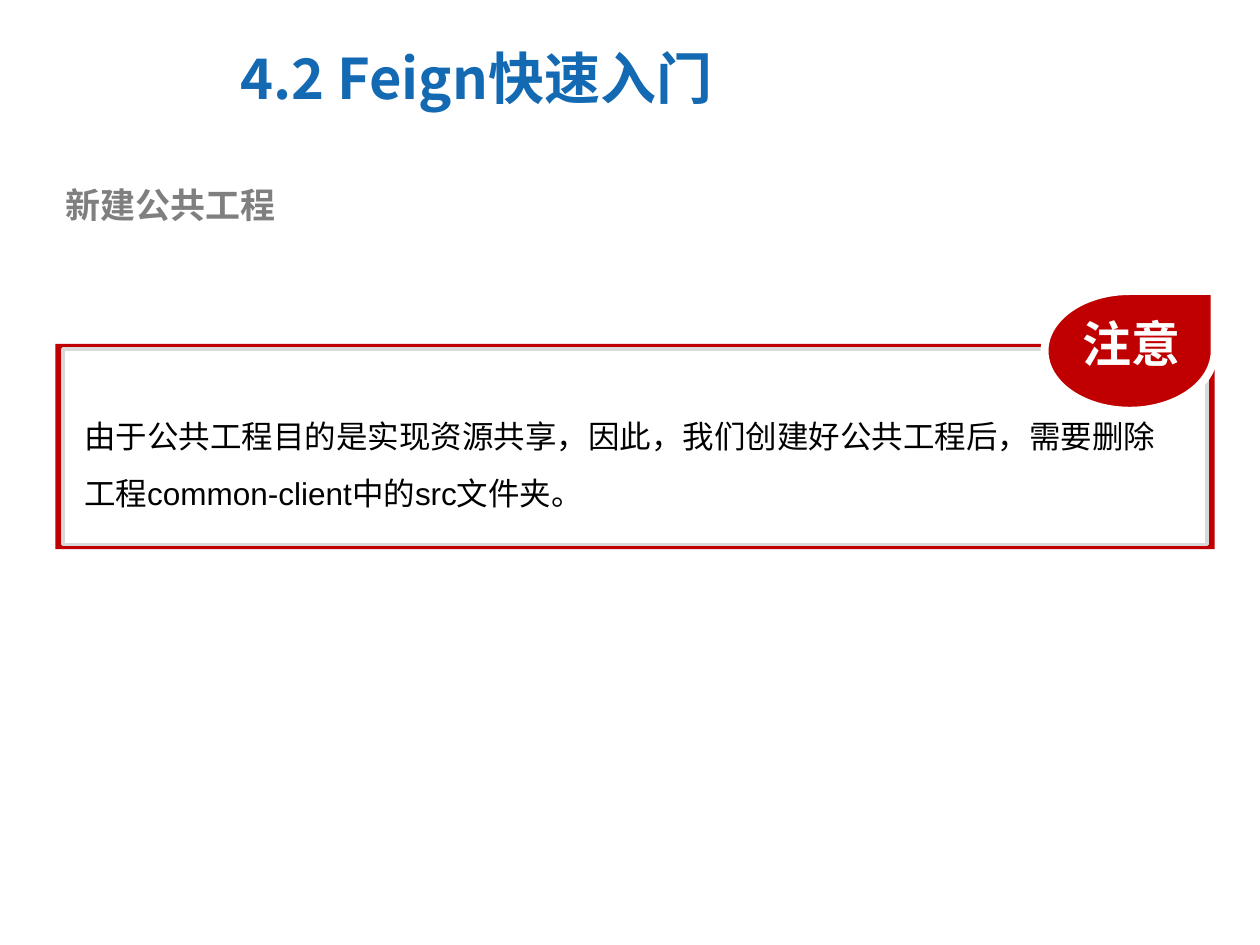
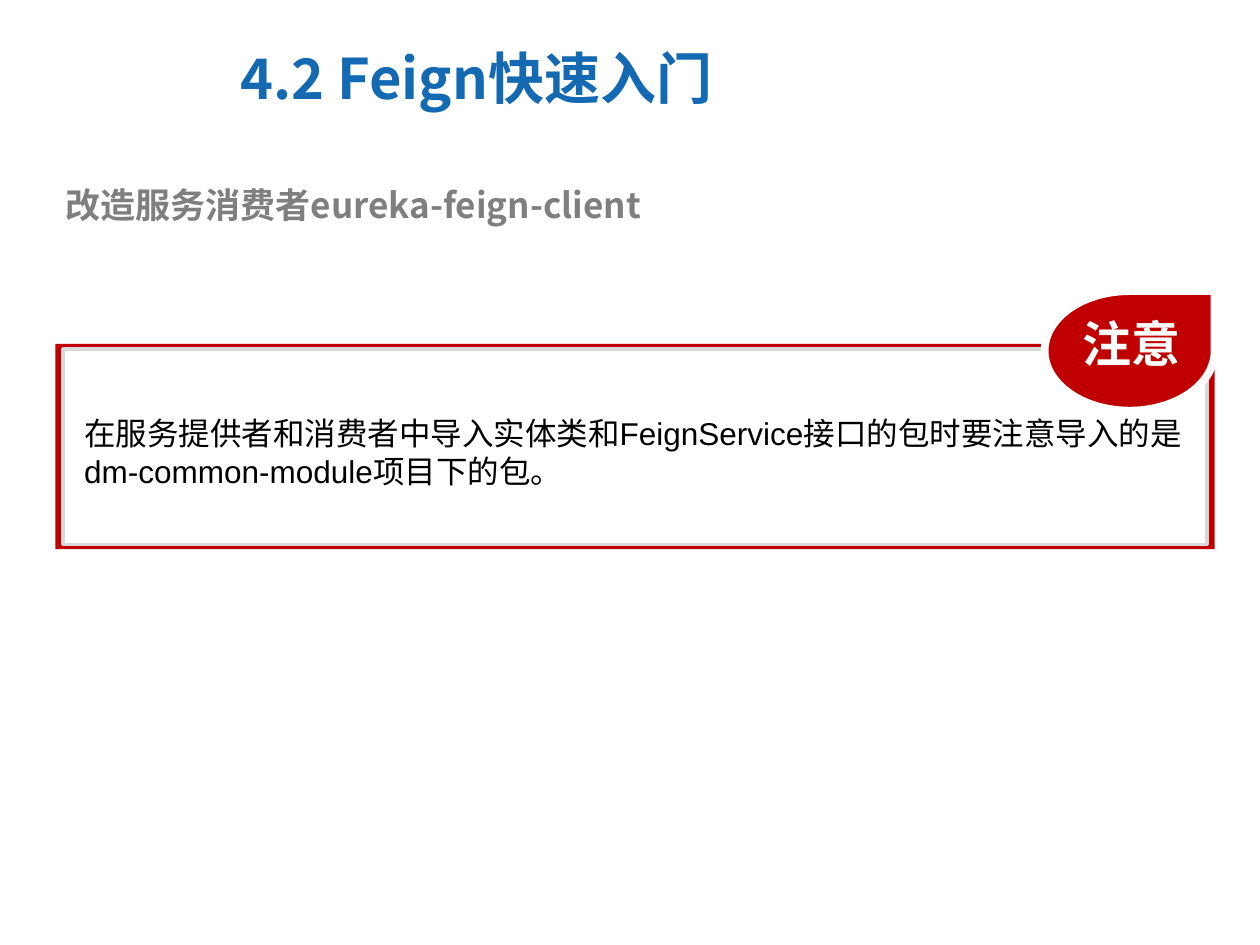
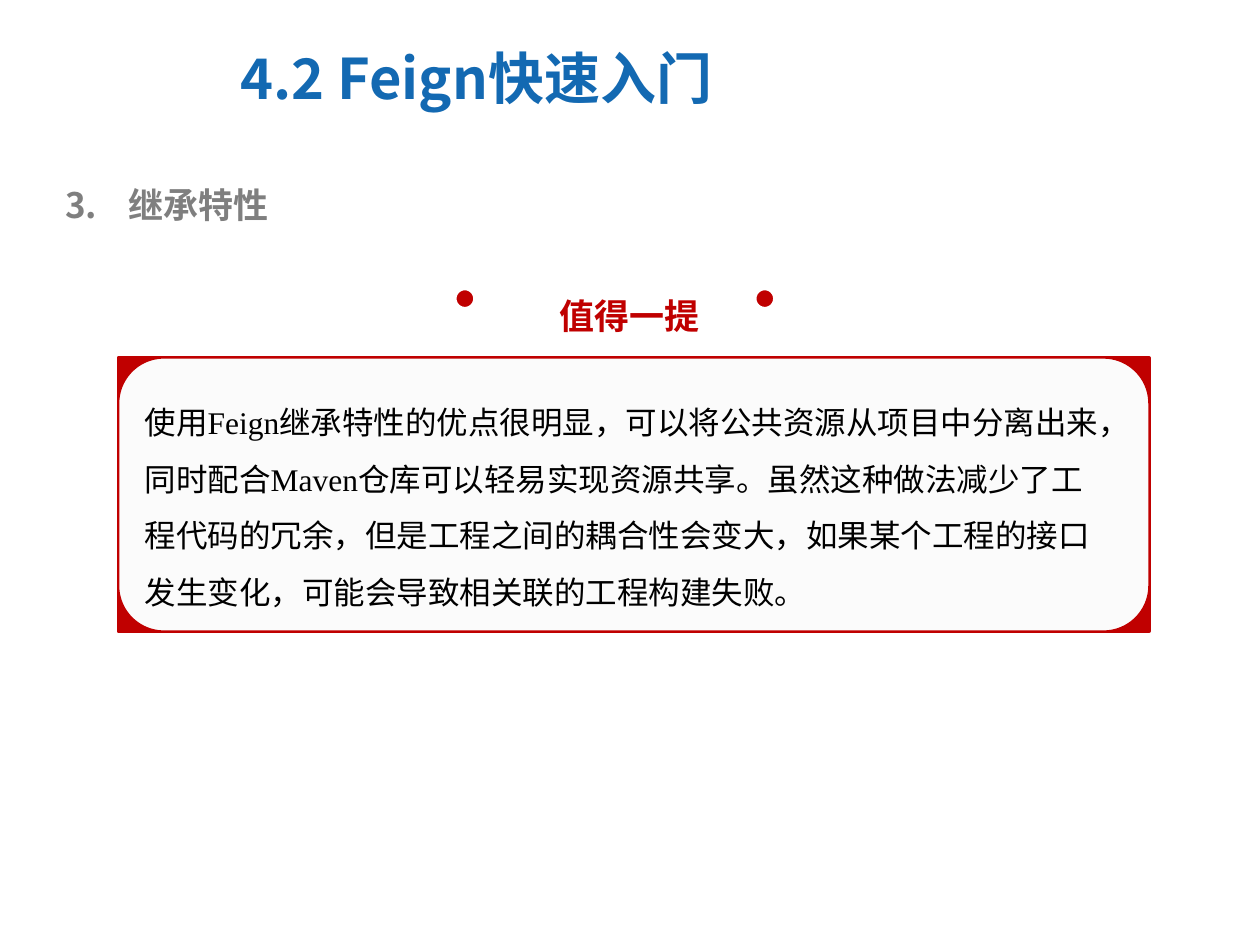
import pptx
import pptx.dml.color
import pptx.enum.shapes
import pptx.enum.text
import pptx.oxml
import pptx.oxml.ns
import pptx.util

Inches = pptx.util.Inches
Pt = pptx.util.Pt
RGBColor = pptx.dml.color.RGBColor
Shape = pptx.enum.shapes.MSO_SHAPE
AutoSize = pptx.enum.text.MSO_AUTO_SIZE

# Colours and fonts
BLUE = RGBColor(0x13, 0x69, 0xB2)
GRAY = RGBColor(0x7F, 0x7F, 0x7F)
SILVER = RGBColor(0xD9, 0xD9, 0xD9)
RED = RGBColor(0xC0, 0x00, 0x00)
OFF_WHITE = RGBColor(0xFB, 0xFB, 0xFB)
WHITE = RGBColor(0xFF, 0xFF, 0xFF)
BLACK = RGBColor(0x00, 0x00, 0x00)
CHINESE_FONT = "Noto Sans CJK SC"

TITLE = "4.2 Feign快速入门"
TITLE_ONLY_LAYOUT = 5


class Deck:
    """Holds the shared style and the slide being built."""

    def __init__(self):
        self.presentation = pptx.Presentation()
        self.presentation.slide_width = Inches(10)
        self.presentation.slide_height = Inches(7.5)
        self.slide = None

    def format_text(self, shape, text, size, color, font=CHINESE_FONT, bold=True):
        shape.text_frame.text = text
        for run in shape.text_frame.paragraphs[0].runs:
            run.font.size = Pt(size)
            run.font.bold = bold
            run.font.color.rgb = color
            run.font.name = font
            east_asian = pptx.oxml.parse_xml(
                f'<a:ea {pptx.oxml.ns.nsdecls("a")} typeface="{CHINESE_FONT}"/>')
            run.font._element.append(east_asian)

    def start_slide(self, heading, number=None):
        layout = self.presentation.slide_layouts[TITLE_ONLY_LAYOUT]
        self.slide = self.presentation.slides.add_slide(layout)
        title = self.slide.shapes.title
        title.left, title.top = Inches(1.81), Inches(0.21)
        title.width, title.height = Inches(5.09), Inches(0.8)
        self.format_text(title, TITLE, 32, BLUE)
        title.text_frame.auto_size = AutoSize.NONE
        title.text_frame.vertical_anchor = pptx.enum.text.MSO_ANCHOR.MIDDLE
        title.text_frame.paragraphs[0].alignment = pptx.enum.text.PP_ALIGN.LEFT

        box = self.text(0.42, 1.41, 9.03, 0.44, heading, 20, GRAY)
        if number:
            self.number_paragraph(box.text_frame.paragraphs[0], number)

    def number_paragraph(self, paragraph, start):
        properties = paragraph._p.get_or_add_pPr()
        properties.set("marL", str(Inches(0.5)))
        properties.set("indent", str(-Inches(0.5)))
        properties.append(pptx.oxml.parse_xml(
            f'<a:buAutoNum {pptx.oxml.ns.nsdecls("a")} type="arabicPeriod" startAt="{start}"/>'))

    def text(self, left, top, width, height, text, size, color,
             font=CHINESE_FONT, bold=True, wrap=True, spacing=None):
        box = self.slide.shapes.add_textbox(
            Inches(left), Inches(top), Inches(width), Inches(height))
        self.format_text(box, text, size, color, font, bold)
        box.text_frame.word_wrap = wrap
        box.text_frame.auto_size = AutoSize.SHAPE_TO_FIT_TEXT
        if spacing:
            box.text_frame.paragraphs[0].line_spacing = spacing
        return box

    def shape(self, kind, left, top, width, height, fill, line=None, line_width=0):
        shape = self.slide.shapes.add_shape(
            kind, Inches(left), Inches(top), Inches(width), Inches(height))
        shape.shadow.inherit = False
        shape.fill.solid()
        shape.fill.fore_color.rgb = fill
        if line is None:
            shape.line.fill.background()
        else:
            shape.line.color.rgb = line
            shape.line.width = Pt(line_width)

    def warning(self, text, top, height, spacing=None):
        """Red frame with a drop-shaped badge at its top right corner."""
        self.shape(Shape.RECTANGLE, 0.44, 2.73, 9.2, 1.63, RED)
        self.shape(Shape.RECTANGLE, 0.5, 2.77, 9.08, 1.55, WHITE, SILVER, 2)
        self.shape(Shape.TEAR, 8.29, 2.31, 1.35, 0.95, RED, WHITE, 4.5)
        self.text(8.49, 2.44, 0.99, 0.57, "注意", 28, WHITE, wrap=False)
        self.text(0.57, top, 8.93, height, text, 18, BLACK, "Arial",
                  bold=False, spacing=spacing)

    def remark(self, label, text):
        """Rounded panel on red corners, with a dotted label above."""
        panel = (0.94, 2.84, 8.18, 2.17)
        self.shape(Shape.FLOWCHART_PROCESS, *panel, RED, RED, 2)
        self.shape(Shape.FLOWCHART_ALTERNATE_PROCESS, *panel, OFF_WHITE, RED, 1)
        for dot_left in (3.61, 5.99):
            self.shape(Shape.OVAL, dot_left, 2.29, 0.16, 0.16, RED, WHITE, 2)
        self.text(4.34, 2.29, 1.31, 0.44, label, 20, RED, wrap=False)
        self.text(1.05, 3, 7.84, 1.9, text, 18, BLACK, "Times New Roman",
                  bold=False, spacing=1.5)


def main():
    deck = Deck()

    # Common project
    deck.start_slide("新建公共工程")
    deck.warning("由于公共工程目的是实现资源共享，因此，我们创建好公共工程后，"
                 "需要删除工程common-client中的src文件夹。", 3.11, 1, spacing=1.5)

    # Service consumer
    deck.start_slide("改造服务消费者eureka-feign-client")
    deck.warning("在服务提供者和消费者中导入实体类和FeignService接口的包时"
                 "要注意导入的是dm-common-module项目下的包。", 3.24, 0.7)

    # Inheritance
    deck.start_slide("继承特性", number=3)
    deck.remark("值得一提",
                "使用Feign继承特性的优点很明显，可以将公共资源从项目中分离出来，"
                "同时配合Maven仓库可以轻易实现资源共享。虽然这种做法减少了工程代码的冗余，"
                "但是工程之间的耦合性会变大，如果某个工程的接口发生变化，"
                "可能会导致相关联的工程构建失败。")

    deck.presentation.save("out.pptx")


if __name__ == "__main__":
    main()
